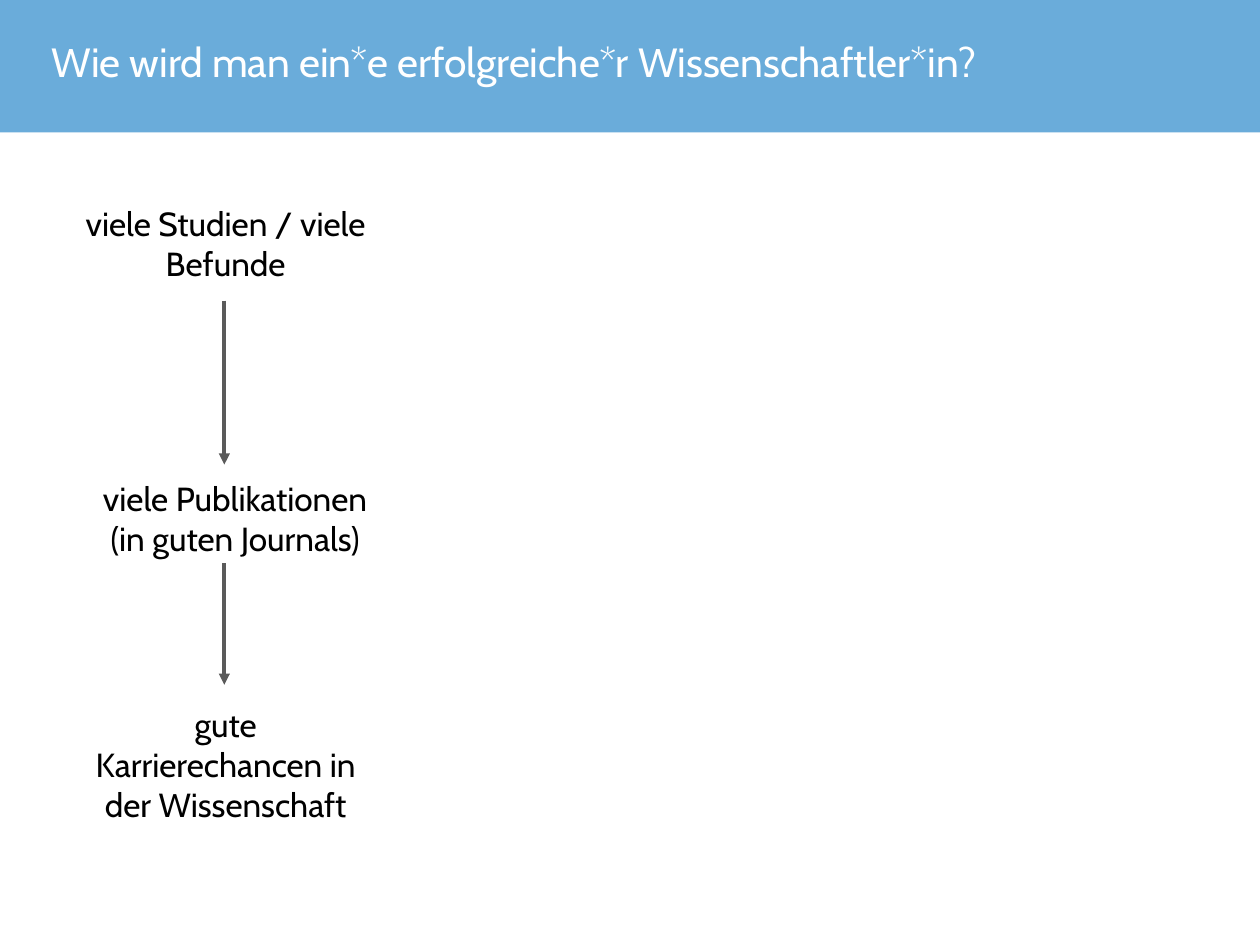
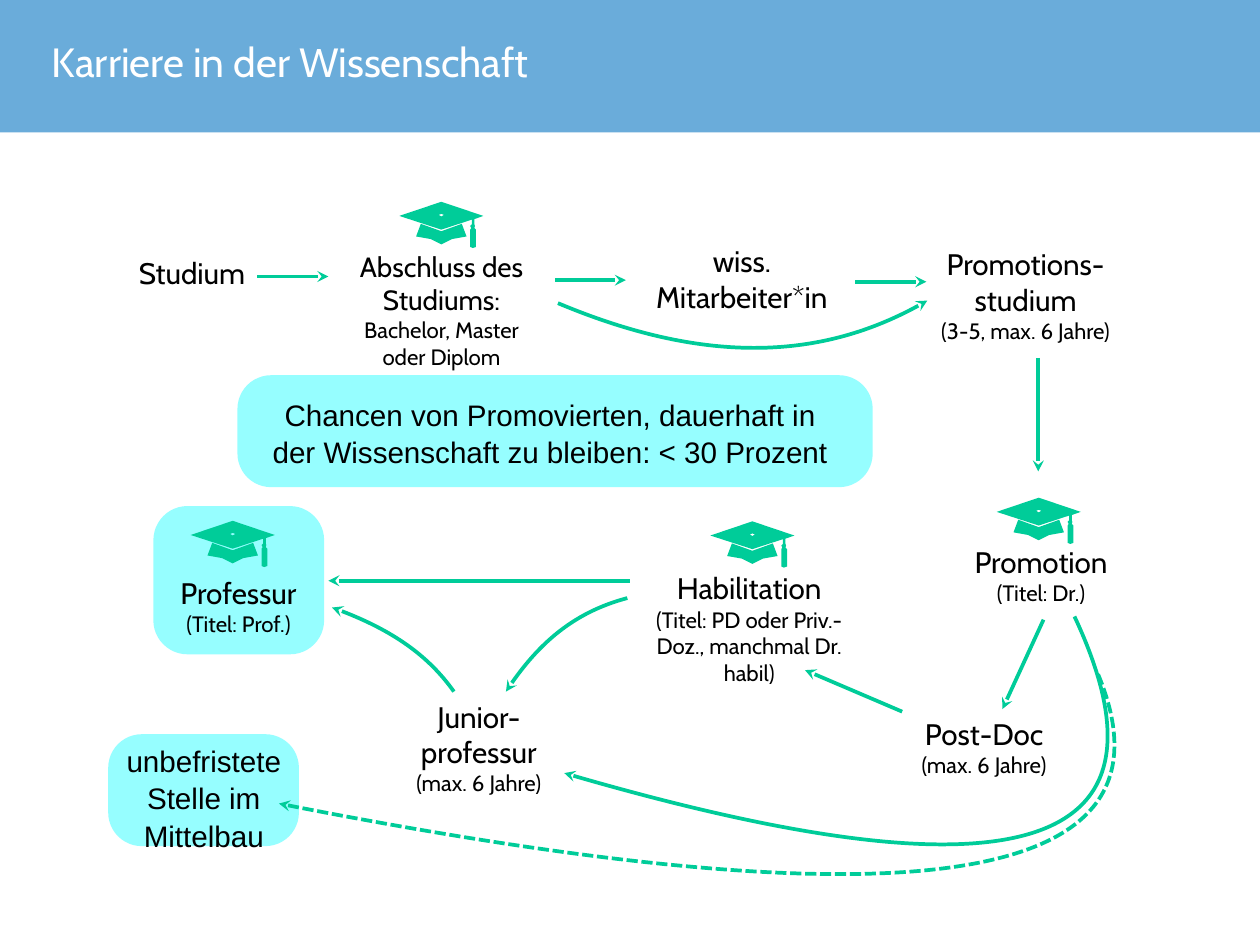
"""Build two slides on careers in science: a chain of success and a career map."""
from lxml import etree
from pptx import Presentation
from pptx import util as u
from pptx.dml.color import RGBColor
from pptx.enum import dml, shapes, text
from pptx.oxml import ns

BAND_BLUE = RGBColor(0x6A, 0xAC, 0xDA)
WHITE = RGBColor(0xFF, 0xFF, 0xFF)
BLACK = RGBColor(0x00, 0x00, 0x00)
GREY = RGBColor(0x5A, 0x5A, 0x5A)
GREEN = RGBColor(0x00, 0xCC, 0x99)
CYAN = RGBColor(0x00, 0xFD, 0xFF)
FONT = "Cabin"


def add_label(page, left, top, width, height, lines, font=FONT, spacing=None):
    """Add a centred text box with one paragraph per (text, size) pair."""
    box = page.shapes.add_textbox(u.Cm(left), u.Cm(top), u.Cm(width), u.Cm(height))
    frame = box.text_frame
    frame.word_wrap = True
    frame.margin_left = frame.margin_right = u.Cm(0.13)
    frame.margin_top = frame.margin_bottom = u.Cm(0.13)
    for index, (words, size) in enumerate(lines):
        para = frame.add_paragraph() if index else frame.paragraphs[0]
        para.text = words
        para.alignment = text.PP_ALIGN.CENTER
        para.line_spacing = spacing
        para.font.name = font
        para.font.size = u.Pt(size)
        para.font.color.rgb = BLACK


def style_arrow(arrow, color, head, dash=None):
    """Give a connector or open curve its colour, arrowhead and no shadow."""
    arrow.line.color.rgb = color
    arrow.line.width = u.Pt(2)
    arrow.line.dash_style = dash
    properties = arrow.element.spPr
    etree.SubElement(properties.find(ns.qn("a:ln")), ns.qn("a:tailEnd"), type=head)
    etree.SubElement(properties, ns.qn("a:effectLst"))


deck = Presentation()
deck.slide_width, deck.slide_height = u.Cm(23.98), u.Cm(17.98)

pages = []
for title in (
    "Wie wird man ein*e erfolgreiche*r Wissenschaftler*in?",
    "Karriere in der Wissenschaft",
):
    page = deck.slides.add_slide(deck.slide_layouts[6])
    band = page.shapes.add_shape(
        shapes.MSO_SHAPE.RECTANGLE, 0, 0, deck.slide_width, u.Cm(2.52))
    band.shadow.inherit = False
    band.fill.solid()
    band.fill.fore_color.rgb = BAND_BLUE
    band.line.fill.background()
    box = page.shapes.add_textbox(0, u.Cm(0.03), u.Cm(19.96), u.Cm(2.26))
    frame = box.text_frame
    frame.word_wrap = True
    frame.vertical_anchor = text.MSO_ANCHOR.MIDDLE
    frame.margin_left = u.Cm(0.99)
    frame.margin_top = frame.margin_right = frame.margin_bottom = 0
    para = frame.paragraphs[0]
    para.text = title
    para.font.name = FONT
    para.font.size = u.Pt(22)
    para.font.color.rgb = WHITE
    pages.append(page)
success, career = pages

for left, top, height, words in (
    (1.5, 3.73, 1.73, "viele Studien / viele Befunde"),
    (1.68, 8.97, 1.73, "viele Publikationen (in guten Journals)"),
    (1.5, 13.26, 2.49, "gute Karrierechancen in der Wissenschaft"),
):
    add_label(success, left, top, 5.59, height, [(words, 18)])

for start, end in ((5.72, 8.84), (10.72, 13.03)):
    arrow = success.shapes.add_connector(
        shapes.MSO_CONNECTOR.STRAIGHT, u.Cm(4.27), u.Cm(start), u.Cm(4.27), u.Cm(end))
    style_arrow(arrow, GREY, "triangle")

for left, top, width, height, rounding in (
    (2.92, 9.63, 3.25, 2.82, 0.23),
    (4.52, 7.14, 12.09, 2.13, 0.3),
    (2.06, 13.97, 3.63, 2.13, 0.3),
):
    panel = career.shapes.add_shape(
        shapes.MSO_SHAPE.ROUNDED_RECTANGLE,
        u.Cm(left), u.Cm(top), u.Cm(width), u.Cm(height))
    panel.adjustments[0] = rounding
    panel.shadow.inherit = False
    panel.fill.solid()
    panel.fill.fore_color.rgb = CYAN
    panel.line.fill.background()
    tint = panel.element.spPr.find(ns.qn("a:solidFill"))[0]
    etree.SubElement(tint, ns.qn("a:alpha"), val="41000")

for left, top, width, height, lines in (
    (1.8, 4.72, 3.71, 0.91, [("Studium", 16)]),
    (6.55, 4.62, 3.71, 2.44,
     [("Abschluss des Studiums:", 15), ("Bachelor, Master oder Diplom", 12)]),
    (11.91, 4.5, 4.42, 1.6, [("wiss. Mitarbeiter*in", 16)]),
    (17.6, 4.55, 3.84, 2.08, [("Promotions- studium", 16), ("(3-5, max. 6 Jahre)", 12)]),
    (16.41, 10.21, 6.81, 1.42, [("Promotion", 16), ("(Titel: Dr.)", 12)]),
    (17.17, 13.49, 3.12, 1.42, [("Post-Doc", 16), ("(max. 6 Jahre)", 12)]),
    (12.19, 10.72, 4.14, 2.41,
     [("Habilitation", 16), ("(Titel: PD oder Priv.-Doz., manchmal Dr. habil)", 12)]),
    (7.49, 13.16, 3.25, 2.08, [("Junior-professur", 16), ("(max. 6 Jahre)", 12)]),
    (2.95, 10.8, 3.18, 1.42, [("Professur", 16), ("(Titel: Prof.)", 12)]),
):
    add_label(career, left, top, width, height, lines)

for left, top, width, height, words in (
    (4.83, 7.39, 11.28, 1.5,
     "Chancen von Promovierten, dauerhaft in der Wissenschaft zu bleiben: < 30 Prozent"),
    (1.96, 13.97, 3.84, 2.13, "unbefristete Stelle im Mittelbau"),
):
    add_label(career, left, top, width, height, [(words, 16)], "Arial", 1.05)

CAP_BOARD = [
    (0, 0), (-0.8, 0.27), (0, 0.53), (0.58, 0.34), (0.58, 0.43), (0.55, 0.46),
    (0.57, 0.5), (0.55, 0.53), (0.55, 0.86), (0.6, 0.88), (0.66, 0.86), (0.66, 0.53),
    (0.63, 0.5), (0.64, 0.46), (0.63, 0.43), (0.63, 0.33), (0.8, 0.27),
]
CAP_BUTTON = [(0, 0.23), (0.05, 0.25), (0, 0.28), (-0.05, 0.25)]
CAP_BASE = [
    (0.39, 0.42), (0, 0.56), (-0.39, 0.42), (-0.48, 0.66),
    (-0.2, 0.71), (0, 0.81), (0.2, 0.71), (0.48, 0.66),
]
for center, top in ((8.4, 3.84), (4.43, 9.91), (14.32, 9.92), (19.77, 9.47)):
    builder = career.shapes.build_freeform(u.Cm(center), u.Cm(top))
    for outline in (CAP_BOARD, CAP_BUTTON, CAP_BASE):
        points = [(u.Cm(center + x), u.Cm(top + y)) for x, y in outline]
        builder.move_to(*points[0])
        builder.add_line_segments(points[1:], close=True)
    cap = builder.convert_to_shape()
    cap.shadow.inherit = False
    cap.fill.solid()
    cap.fill.fore_color.rgb = GREEN
    cap.line.fill.background()

for ends in (
    (4.9, 5.26, 6.25, 5.26),
    (10.57, 5.33, 11.91, 5.33),
    (16.28, 5.36, 17.63, 5.36),
    (19.76, 6.81, 19.76, 8.97),
    (19.86, 11.79, 19.08, 13.49),
    (17.17, 13.54, 15.32, 12.75),
    (11.99, 11.05, 6.25, 11.05),
):
    arrow = career.shapes.add_connector(
        shapes.MSO_CONNECTOR.STRAIGHT, *(u.Cm(value) for value in ends))
    style_arrow(arrow, GREEN, "stealth")

for dash, *controls in (
    (None, (10.62, 5.77), (13.34, 6.91), (15.67, 6.88), (17.65, 5.72)),
    (None, (11.94, 11.38), (11, 11.63), (10.24, 12.22), (9.63, 13.16)),
    (None, (8.64, 13.16), (8.15, 12.47), (7.39, 11.94), (6.32, 11.56)),
    (None, (20.45, 11.73), (22.56, 16.23), (19.33, 17.22), (10.74, 14.71)),
    (dml.MSO_LINE.SQUARE_DOT, (20.9, 12.83), (22.58, 16.87), (17.4, 17.68), (5.31, 15.29)),
):
    start, *others = [(u.Cm(x), u.Cm(y)) for x, y in controls]
    builder = career.shapes.build_freeform(*start)
    builder.add_line_segments(others, close=False)
    curve = builder.convert_to_shape()
    segments = list(curve.element.iter(ns.qn("a:lnTo")))
    bezier = etree.SubElement(segments[0].getparent(), ns.qn("a:cubicBezTo"))
    for segment in segments:
        bezier.append(segment[0])
        segment.getparent().remove(segment)
    curve.fill.background()
    style_arrow(curve, GREEN, "stealth", dash)

deck.save("out.pptx")
